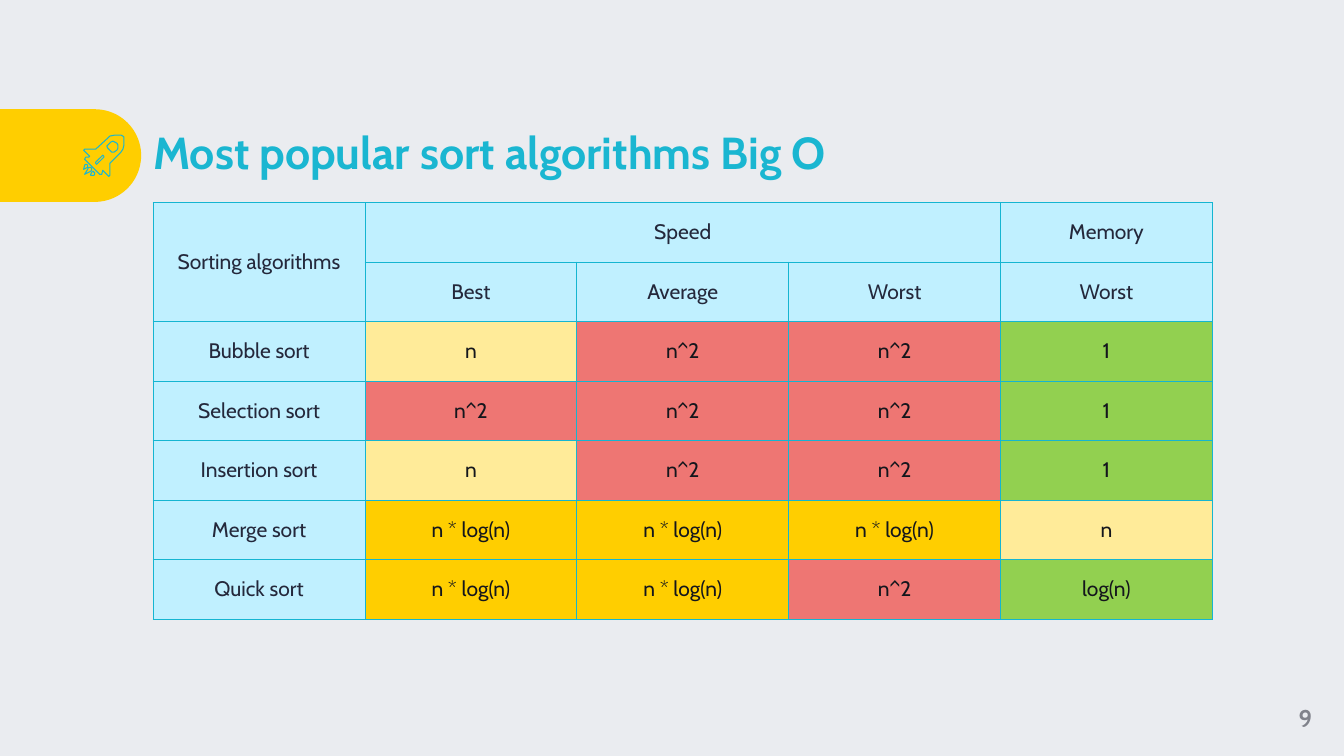
import pptx
import pptx.dml.color
import pptx.enum.shapes
import pptx.enum.text
import pptx.oxml
import pptx.oxml.ns
import pptx.util

Pt = pptx.util.Pt
RGBColor = pptx.dml.color.RGBColor
CENTER = pptx.enum.text.PP_ALIGN.CENTER
MIDDLE = pptx.enum.text.MSO_ANCHOR.MIDDLE

PAPER = RGBColor(0xEA, 0xEC, 0xF0)
TEAL = RGBColor(0x1A, 0xB6, 0xD1)
EDGE = RGBColor(0x15, 0xB5, 0xD1)
NAVY = RGBColor(0x24, 0x28, 0x3B)
INK = RGBColor(0x14, 0x16, 0x1C)
GREY = RGBColor(0x80, 0x82, 0x8B)
SKY = RGBColor(0xC0, 0xF0, 0xFF)
GOLD = RGBColor(0xFF, 0xCE, 0x00)
CREAM = RGBColor(0xFF, 0xEB, 0x99)
RED = RGBColor(0xEE, 0x76, 0x73)
GREEN = RGBColor(0x92, 0xD0, 0x50)


def style(frame, size, color, bold=False):
    frame.vertical_anchor = MIDDLE
    for run in frame.paragraphs[0].runs:
        run.font.name = "Cabin"
        run.font.size = Pt(size)
        run.font.color.rgb = color
        run.font.bold = bold


def add_text(text, left, top, width, height, size, color):
    frame = slide.shapes.add_textbox(Pt(left), Pt(top), Pt(width), Pt(height)).text_frame
    frame.word_wrap = True
    frame.margin_left = frame.margin_right = frame.margin_top = frame.margin_bottom = 0
    frame.text = text
    style(frame, size, color, True)
    return frame.paragraphs[0]


deck = pptx.Presentation()
deck.slide_width = Pt(960)
deck.slide_height = Pt(540)
slide = deck.slides.add_slide(deck.slide_layouts[6])
slide.background.fill.solid()
slide.background.fill.fore_color.rgb = PAPER

tab = slide.shapes.add_shape(
    pptx.enum.shapes.MSO_SHAPE.ROUND_2_SAME_RECTANGLE, Pt(17.3), Pt(60.7), Pt(66.2), Pt(100.8))
tab.rotation = 90
tab.adjustments[0] = 0.5
tab.adjustments[1] = 0
tab.shadow.inherit = False
tab.fill.solid()
tab.fill.fore_color.rgb = GOLD
tab.line.fill.background()

title = add_text("Most popular sort algorithms Big O", 109.4, 77.8, 756.7, 66.2, 32, TEAL)
title.line_spacing = 0.9

rows = [
    ["Sorting algorithms", "Speed", "", "", "Memory"],
    ["", "Best", "Average", "Worst", "Worst"],
    ["Bubble sort", "n", "n^2", "n^2", "1"],
    ["Selection sort", "n^2", "n^2", "n^2", "1"],
    ["Insertion sort", "n", "n^2", "n^2", "1"],
    ["Merge sort", "n * log(n)", "n * log(n)", "n * log(n)", "n"],
    ["Quick sort", "n * log(n)", "n * log(n)", "n^2", "log(n)"],
]
heat = {"1": GREEN, "log(n)": GREEN, "n": CREAM, "n * log(n)": GOLD, "n^2": RED}

table = slide.shapes.add_table(7, 5, Pt(109.4), Pt(144.7), Pt(756.7), Pt(297.5)).table
table.first_row = table.horz_banding = False
for col in table.columns:
    col.width = Pt(151.34)
for row in table.rows:
    row.height = Pt(42.5)
for r, texts in enumerate(rows):
    for c, text in enumerate(texts):
        cell = table.cell(r, c)
        props = cell._tc.get_or_add_tcPr()
        for side in ("lnL", "lnR", "lnT", "lnB"):
            props.append(pptx.oxml.parse_xml(
                f'<a:{side} {pptx.oxml.ns.nsdecls("a")} w="{Pt(0.75)}"><a:solidFill>'
                f'<a:srgbClr val="{EDGE}"/></a:solidFill></a:{side}>'))
        cell.fill.solid()
        cell.fill.fore_color.rgb = heat.get(text, SKY)
        cell.margin_left = cell.margin_right = Pt(9.6)
        cell.margin_top = cell.margin_bottom = Pt(7.2)
        cell.vertical_anchor = MIDDLE
        cell.text_frame.text = text
        cell.text_frame.paragraphs[0].alignment = CENTER
        style(cell.text_frame, 15, INK if text in heat else NAVY)
table.cell(0, 0).merge(table.cell(1, 0))
table.cell(0, 1).merge(table.cell(0, 3))

number = add_text("9", 905, 486, 55, 54, 17.3, GREY)
number.alignment = CENTER

hull = [(109, 174), (109, 162), (120, 151), (122, 148), (123, 144), (123, 136),
        (122, 135), (120, 134), (114, 134), (109, 135), (107, 137), (95, 148),
        (84, 148), (83, 149), (89, 155), (88, 156), (85, 156), (84, 158),
        (99, 173), (101, 173), (102, 169), (108, 175)]
slot = [(97, 162), (96, 163), (95, 162), (95, 161), (101, 155), (102, 154),
        (103, 155), (103, 156)]
porthole = [(113, 151), (111, 151), (107, 147), (106, 145), (107, 144), (109, 142),
            (110, 141), (112, 140), (114, 141), (116, 142), (117, 144), (117, 147),
            (116, 149)]
flame = [(91, 167), (90, 166), (88, 166), (87, 168), (84, 173), (90, 170), (91, 169)]
spark = [(93, 171), (93, 170), (92, 170), (91, 171), (90, 173), (90, 174), (93, 174),
         (94, 173), (94, 171)]
ember = [(87, 164), (86, 163), (85, 163), (84, 164), (83, 168), (87, 166), (87, 165)]

for loops in ([hull, slot, porthole], [flame], [spark], [ember]):
    pen = slide.shapes.build_freeform(*loops[0][0], scale=float(Pt(0.72)))
    for i, loop in enumerate(loops):
        if i:
            pen.move_to(*loop[0])
        pen.add_line_segments(loop[1:], close=True)
    part = pen.convert_to_shape()
    part.shadow.inherit = False
    part.fill.background()
    part.line.color.rgb = TEAL
    part.line.width = Pt(0.75)

deck.save("out.pptx")
